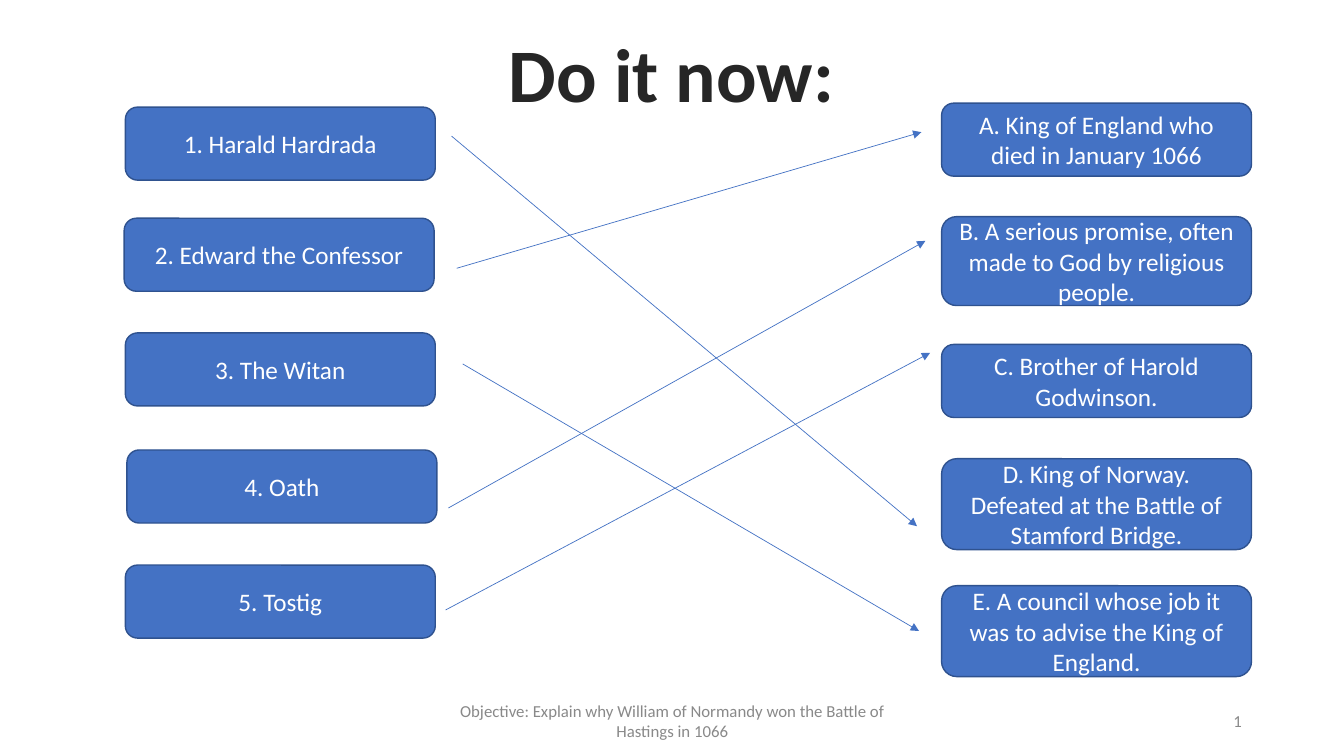
from dataclasses import dataclass

from lxml import etree
from pptx import Presentation
from pptx.dml.color import RGBColor
from pptx.enum import shapes, text
from pptx.oxml import ns
from pptx.util import Cm, Pt

HUES = {"fill": "4472C4", "edge": "2F528F", "white": "FFFFFF",
        "title": "262626", "grey": "898989"}
FONT = "Calibri"
WIDTH = 7.81
LOW, MID, TALL = 1.84, 2.24, 2.29
RIGHT = 23.73
ALIGN = text.PP_ALIGN


@dataclass
class Card:
    words: str
    left: float
    top: float
    height: float = LOW


@dataclass
class Link:
    x1: float
    y1: float
    x2: float
    y2: float


@dataclass
class Label:
    words: str
    left: float
    top: float
    width: float
    height: float
    size: int
    hue: str
    align: ALIGN = ALIGN.CENTER
    bold: bool = False
    wrap: bool = True


CARDS = [
    Card("1. Harald Hardrada", 3.16, 2.7),
    Card("2. Edward the Confessor", 3.13, 5.5),
    Card("3. The Witan", 3.16, 8.39),
    Card("4. Oath", 3.2, 11.34),
    Card("5. Tostig", 3.16, 14.24),
    Card("A. King of England who died in January 1066", RIGHT, 2.6),
    Card("B. A serious promise, often made to God by religious people.",
         RIGHT, 5.46, MID),
    Card("C. Brother of Harold Godwinson.", RIGHT, 8.68),
    Card("D. King of Norway. Defeated at the Battle of Stamford Bridge.",
         RIGHT, 11.56, TALL),
    Card("E. A council whose job it was to advise the King of England.",
         RIGHT, 14.76, TALL),
]

LINKS = [
    Link(11.38, 3.43, 23.11, 13.26),
    Link(11.51, 6.76, 23.22, 3.33),
    Link(11.66, 9.17, 23.16, 15.9),
    Link(11.3, 12.8, 23.32, 6.07),
    Link(11.23, 15.37, 23.44, 8.89),
]

LABELS = [
    Label("Objective: Explain why William of Normandy won the Battle of "
          "Hastings in 1066", 11.23, 17.65, 11.43, 1.02, 12, "grey"),
    Label("1", 23.93, 17.65, 7.62, 1.02, 12, "grey", ALIGN.RIGHT),
    Label("Do it now:", 12.57, 0.56, 8.71, 2.54, 54, "title",
          bold=True, wrap=False),
]


def tint(name: str) -> RGBColor:
    return RGBColor.from_string(HUES[name])


def write(shape, words: str, size: int, hue: str, align: ALIGN,
          bold: bool = False, wrap: bool = True) -> None:
    frame = shape.text_frame
    frame.word_wrap = wrap
    frame.vertical_anchor = text.MSO_ANCHOR.MIDDLE
    para = frame.paragraphs[0]
    para.alignment = align
    run = para.add_run()
    run.text = words
    run.font.name = FONT
    run.font.size = Pt(size)
    run.font.bold = bold
    run.font.color.rgb = tint(hue)


def add_label(slide, label: Label) -> None:
    box = slide.shapes.add_textbox(Cm(label.left), Cm(label.top),
                                   Cm(label.width), Cm(label.height))
    write(box, label.words, label.size, label.hue, label.align,
          label.bold, label.wrap)


def add_card(slide, card: Card) -> None:
    box = slide.shapes.add_shape(
        shapes.MSO_SHAPE.ROUNDED_RECTANGLE,
        Cm(card.left), Cm(card.top), Cm(WIDTH), Cm(card.height))
    box.shadow.inherit = False
    box.fill.solid()
    box.fill.fore_color.rgb = tint("fill")
    box.line.color.rgb = tint("edge")
    box.line.width = Pt(1)
    write(box, card.words, 18, "white", ALIGN.CENTER)


def add_link(slide, link: Link) -> None:
    """Draw a thin line with an arrowhead at its far end."""
    line = slide.shapes.add_connector(
        shapes.MSO_CONNECTOR.STRAIGHT,
        Cm(link.x1), Cm(link.y1), Cm(link.x2), Cm(link.y2))
    line.line.color.rgb = tint("fill")
    line.line.width = Pt(0.5)
    props = line.element.spPr
    tip = etree.SubElement(props.find(ns.qn("a:ln")), ns.qn("a:tailEnd"))
    tip.set("type", "triangle")
    etree.SubElement(props, ns.qn("a:effectLst"))


def main() -> None:
    deck = Presentation()
    deck.slide_width, deck.slide_height = Cm(33.87), Cm(19.05)
    slide = deck.slides.add_slide(deck.slide_layouts[6])
    for label in LABELS:
        add_label(slide, label)
    for card in CARDS:
        add_card(slide, card)
    for link in LINKS:
        add_link(slide, link)
    deck.save("out.pptx")


if __name__ == "__main__":
    main()
